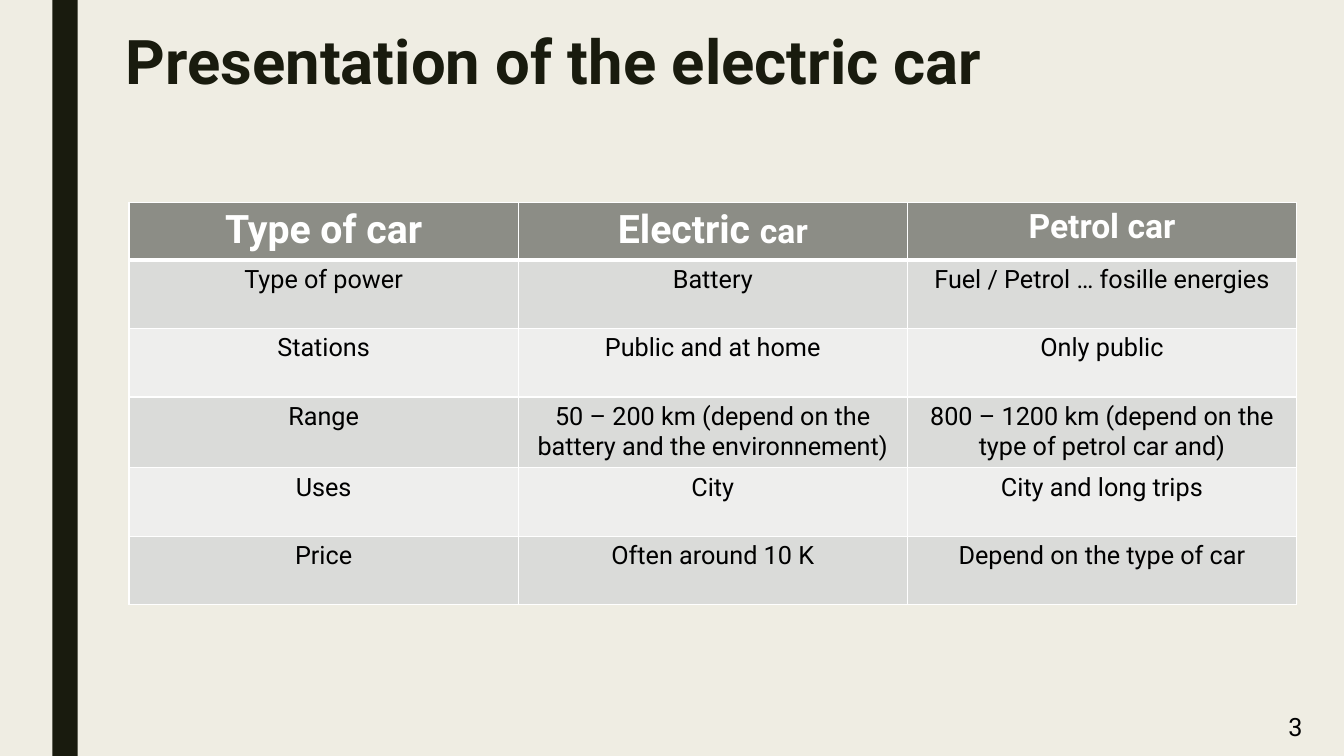
from lxml import etree
from pptx import Presentation
from pptx.dml.color import RGBColor
from pptx.enum.shapes import MSO_SHAPE
from pptx.enum.text import PP_ALIGN
from pptx.oxml.ns import qn
from pptx.util import Inches, Pt

RECTANGLE = MSO_SHAPE.RECTANGLE
CENTER = PP_ALIGN.CENTER

BACKGROUND = RGBColor(0xEF, 0xED, 0xE3)
DARK = RGBColor(0x19, 0x1B, 0x0E)
HEADER_FILL = RGBColor(0x8C, 0x8D, 0x86)
BAND_FILLS = (RGBColor(0xDA, 0xDB, 0xD9), RGBColor(0xEE, 0xEE, 0xED))
WHITE = RGBColor(0xFF, 0xFF, 0xFF)
BLACK = RGBColor(0x00, 0x00, 0x00)

FONT = "Roboto"
HEADER_HEIGHT = 0.57

# Each header cell is a list of (text, size) spans.
HEADERS = [
    [("Type of car", 28)],
    [("Electric ", 28), ("car", 24)],
    [("Petrol car", 24)],
]
ROWS = [
    ("Type of power", "Battery", "Fuel / Petrol … fosille energies"),
    ("Stations", "Public and at home", "Only public"),
    ("Range", "50 – 200 km (depend on the battery and the environnement)",
     "800 – 1200 km (depend on the type of petrol car and)"),
    ("Uses", "City", "City and long trips"),
    ("Price", "Often around 10 K", "Depend on the type of car"),
]


def add_span(para, text, size, color, bold=False):
    span = para.add_run()
    span.text = text
    span.font.name = FONT
    span.font.size = Pt(size)
    span.font.bold = bold
    span.font.color.rgb = color


def add_side_bar(slide, left, top, width, height):
    bar = slide.shapes.add_shape(RECTANGLE, Inches(left), Inches(top),
                                 Inches(width), Inches(height))
    bar.shadow.inherit = False
    bar.fill.solid()
    bar.fill.fore_color.rgb = DARK
    bar.line.fill.background()


def add_text(slide, left, top, width, height, text, size, color, bold=False):
    box = slide.shapes.add_textbox(Inches(left), Inches(top),
                                   Inches(width), Inches(height))
    box.text_frame.word_wrap = True
    para = box.text_frame.paragraphs[0]
    add_span(para, text, size, color, bold)
    return para


def set_borders(cell, bottom_width):
    """Draw white lines round a cell, 1 pt except at the bottom."""
    properties = cell._tc.get_or_add_tcPr()
    for side, width in (("L", 1), ("R", 1), ("T", 1), ("B", bottom_width)):
        line = etree.SubElement(properties, qn(f"a:ln{side}"), w=str(Pt(width)))
        fill = etree.SubElement(line, qn("a:solidFill"))
        etree.SubElement(fill, qn("a:srgbClr"), val=str(WHITE))


def fill_cell(cell, spans, fill, color, bold=False, bottom_width=1):
    set_borders(cell, bottom_width)
    cell.fill.solid()
    cell.fill.fore_color.rgb = fill
    para = cell.text_frame.paragraphs[0]
    para.alignment = CENTER
    for text, size in spans:
        add_span(para, text, size, color, bold)


def add_comparison_table(slide, left, top, width, height):
    frame = slide.shapes.add_table(len(ROWS) + 1, len(HEADERS), Inches(left),
                                   Inches(top), Inches(width), Inches(height))
    table = frame.table
    for column in table.columns:
        column.width = Inches(width / len(HEADERS))
    for row in table.rows:
        row.height = Inches((height - HEADER_HEIGHT) / len(ROWS))
    table.rows[0].height = Inches(HEADER_HEIGHT)

    for column, spans in enumerate(HEADERS):
        fill_cell(table.cell(0, column), spans, HEADER_FILL, WHITE,
                  bold=True, bottom_width=3)
    for index, texts in enumerate(ROWS):
        for column, text in enumerate(texts):
            fill_cell(table.cell(index + 1, column), [(text, 18)],
                      BAND_FILLS[index % 2], BLACK)


def main():
    deck = Presentation()
    deck.slide_width = Inches(13.33)
    deck.slide_height = Inches(7.5)
    slide = deck.slides.add_slide(deck.slide_layouts[6])
    slide.background.fill.solid()
    slide.background.fill.fore_color.rgb = BACKGROUND

    add_side_bar(slide, 0.52, 0, 0.25, 7.5)
    title = add_text(slide, 1.15, 0.27, 10.5, 1.62,
                     "Presentation of the electric car", 44, DARK, bold=True)
    title.line_spacing = 0.89
    add_comparison_table(slide, 1.28, 2.01, 11.58, 3.97)
    add_text(slide, 12.68, 7.01, 0.65, 0.4, "3", 18, BLACK)
    deck.save("out.pptx")


if __name__ == "__main__":
    main()
